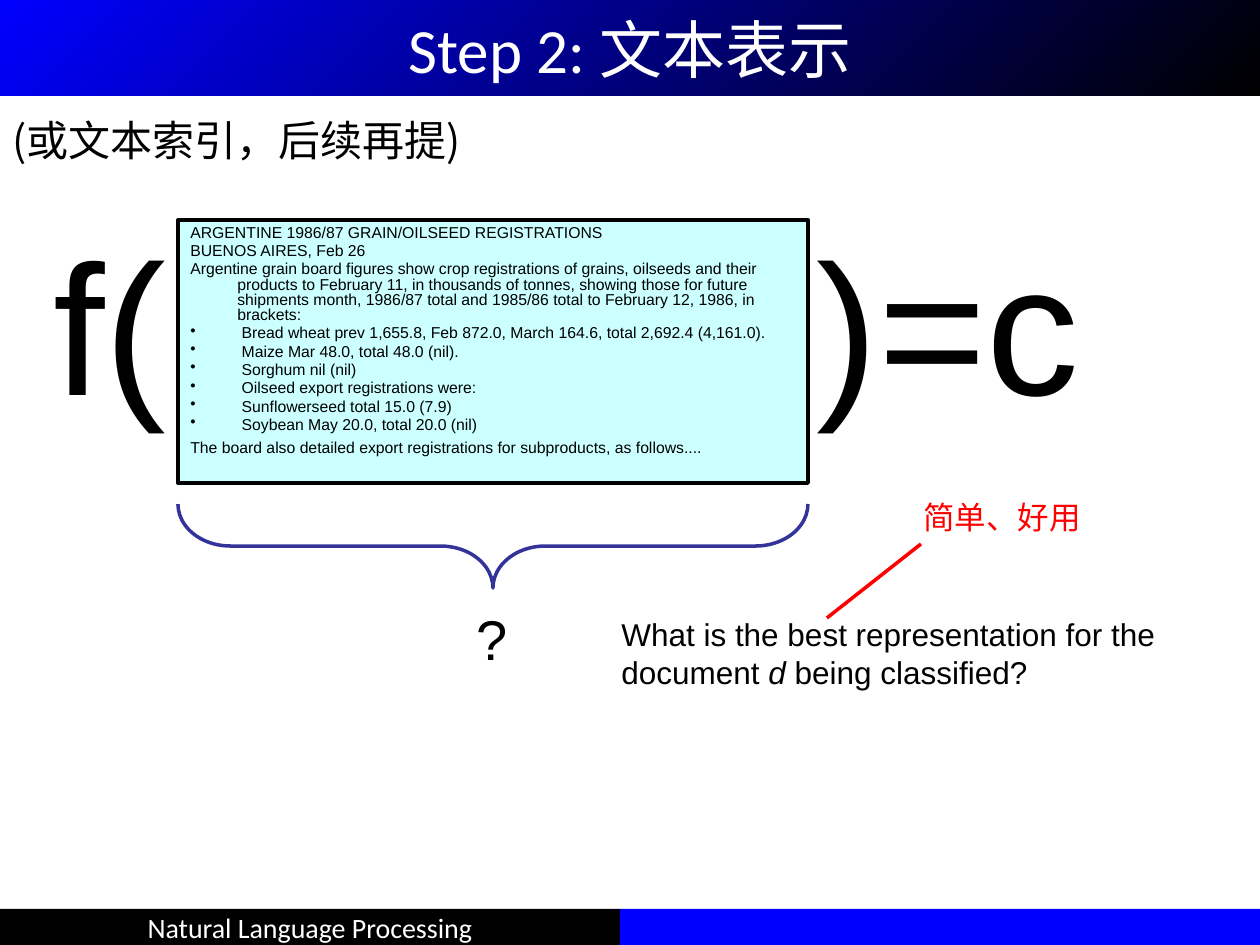
from dataclasses import dataclass

from lxml.etree import SubElement
from pptx import Presentation
from pptx.dml.color import RGBColor
from pptx.enum.shapes import MSO_CONNECTOR, MSO_SHAPE
from pptx.enum.text import MSO_ANCHOR, PP_ALIGN
from pptx.oxml.ns import qn
from pptx.util import Emu, Pt

EMU_PER_PX = 914400 // 126


@dataclass(frozen=True)
class Theme:
    black: str = "000000"
    white: str = "FFFFFF"
    blue: str = "0000FF"
    document: str = "CCFFFF"
    brace: str = "333399"
    accent: str = "FF0000"
    latin: str = "Arial"
    heading: str = "Calibri"
    chinese: str = "Noto Sans CJK SC"
    title_size: int = 36
    formula_size: int = 106
    mark_size: int = 32
    subtitle_size: int = 24
    body_size: int = 18
    footer_size: int = 16
    document_size: int = 9


THEME = Theme()

DOCUMENT = [
    ("ARGENTINE 1986/87 GRAIN/OILSEED REGISTRATIONS", False),
    ("BUENOS AIRES, Feb 26", False),
    ("Argentine grain board figures show crop registrations of grains, oilseeds "
     "and their products to February 11, in thousands of tonnes, showing those for "
     "future shipments month, 1986/87 total and 1985/86 total to February 12, 1986, "
     "in brackets:", False),
    (" Bread wheat prev 1,655.8, Feb 872.0, March 164.6, total 2,692.4 (4,161.0).", True),
    (" Maize Mar 48.0, total 48.0 (nil).", True),
    (" Sorghum nil (nil)", True),
    (" Oilseed export registrations were:", True),
    (" Sunflowerseed total 15.0 (7.9)", True),
    (" Soybean May 20.0, total 20.0 (nil)", True),
    ("The board also detailed export registrations for subproducts, as follows....", False),
]


def px(value):
    return Emu(value * EMU_PER_PX)


def color(value):
    return RGBColor.from_string(value)


def set_values(target, values):
    for name, value in values.items():
        setattr(target, name, value)


def add_run(paragraph, text, size, font=THEME.latin, ink=THEME.black, italic=False):
    run = paragraph.add_run()
    run.text = text
    set_values(run.font, {"size": Pt(size), "name": font, "italic": italic})
    run.font.color.rgb = color(ink)
    # East Asian glyphs take their own typeface
    SubElement(run.font._element, qn("a:ea"), typeface=THEME.chinese)


def add_block(slide, box, fill=None, line=None, width=0, kind=MSO_SHAPE.RECTANGLE):
    shape = slide.shapes.add_shape(kind, *map(px, box))
    shape.shadow.inherit = False
    if fill:
        shape.fill.solid()
        shape.fill.fore_color.rgb = color(fill)
    else:
        shape.fill.background()
    if line:
        shape.line.color.rgb = color(line)
        shape.line.width = Pt(width)
    else:
        shape.line.fill.background()
    return shape


def write_centered(shape, text, size):
    set_values(shape.text_frame, {"vertical_anchor": MSO_ANCHOR.MIDDLE, "word_wrap": True,
                                  "margin_top": 0, "margin_bottom": 0})
    paragraph = shape.text_frame.paragraphs[0]
    paragraph.alignment = PP_ALIGN.CENTER
    add_run(paragraph, text, size, THEME.heading, THEME.white)


def add_label(slide, box, runs, wrap=False, align=PP_ALIGN.LEFT, **style):
    frame = slide.shapes.add_textbox(*map(px, box)).text_frame
    frame.word_wrap = wrap
    paragraph = frame.paragraphs[0]
    paragraph.alignment = align
    for text, italic in runs:
        add_run(paragraph, text, italic=italic, **style)


def add_title(slide):
    bar = add_block(slide, (0, 0, 1260, 96))
    bar.fill.gradient()
    bar.fill.gradient_angle = 315
    for stop, value in zip(bar.fill.gradient_stops, (THEME.blue, THEME.black)):
        stop.color.rgb = color(value)
    write_centered(bar, "Step 2: 文本表示", THEME.title_size)


def add_document(slide, box):
    frame = add_block(slide, box, THEME.document, THEME.black, 2.25).text_frame
    set_values(frame, {"word_wrap": True, "vertical_anchor": MSO_ANCHOR.TOP})
    indent = px(47)
    for index, (text, bulleted) in enumerate(DOCUMENT):
        paragraph = frame.add_paragraph() if index else frame.paragraphs[0]
        is_last = index == len(DOCUMENT) - 1
        set_values(paragraph, {"alignment": PP_ALIGN.LEFT, "line_spacing": 0.8,
                               "space_before": Pt(4.4 if is_last else 1.8)})
        properties = paragraph._p.get_or_add_pPr()
        properties.set("marL", str(indent))
        properties.set("indent", str(-indent))
        if bulleted:
            SubElement(properties, qn("a:buChar"), char="•")
        add_run(paragraph, text, THEME.document_size)


def add_brace(slide, box):
    brace = add_block(slide, box, line=THEME.brace, width=2, kind=MSO_SHAPE.LEFT_BRACE)
    brace.rotation = 270
    brace.adjustments[0] = 0.625


def add_line(slide, start, end):
    line = slide.shapes.add_connector(MSO_CONNECTOR.STRAIGHT, *map(px, start + end))
    line.line.color.rgb = color(THEME.accent)
    line.line.width = Pt(2)
    SubElement(line._element.spPr, qn("a:effectLst"))


def main():
    presentation = Presentation()
    set_values(presentation, {"slide_width": px(1260), "slide_height": px(945)})
    slide = presentation.slides.add_slide(presentation.slide_layouts[6])

    # Footer and title bars
    footer = add_block(slide, (0, 909, 620, 36), THEME.black)
    write_centered(footer, "Natural Language Processing", THEME.footer_size)
    add_block(slide, (620, 909, 640, 36), THEME.blue)
    add_title(slide)

    # Classifier formula around the document, each box a little wider than its text
    add_document(slide, (178, 220, 630, 263))
    for box, text in (((41, 204, 146, 236), "f("), ((804, 204, 296, 238), ")=c")):
        add_label(slide, box, [(text, False)], size=THEME.formula_size)

    # Brace and question
    add_brace(slide, (451, 231, 84, 630))
    add_label(slide, (462, 598, 60, 79), [("?", False)], align=PP_ALIGN.CENTER,
              size=THEME.mark_size)
    question = [("What is the best representation for the document ", False),
                ("d", True), (" being classified?", False)]
    add_label(slide, (609, 609, 620, 165), question, wrap=True, size=THEME.body_size)

    # Red remark with its pointer
    add_line(slide, (921, 544), (827, 618))
    add_label(slide, (911, 492, 190, 50), [("简单、好用", False)],
              size=THEME.body_size, font=THEME.chinese, ink=THEME.accent)

    # Subtitle
    add_label(slide, (0, 108, 491, 64), [("(或文本索引，后续再提)", False)], wrap=True,
              size=THEME.subtitle_size, font=THEME.chinese)

    presentation.save("out.pptx")


if __name__ == "__main__":
    main()
